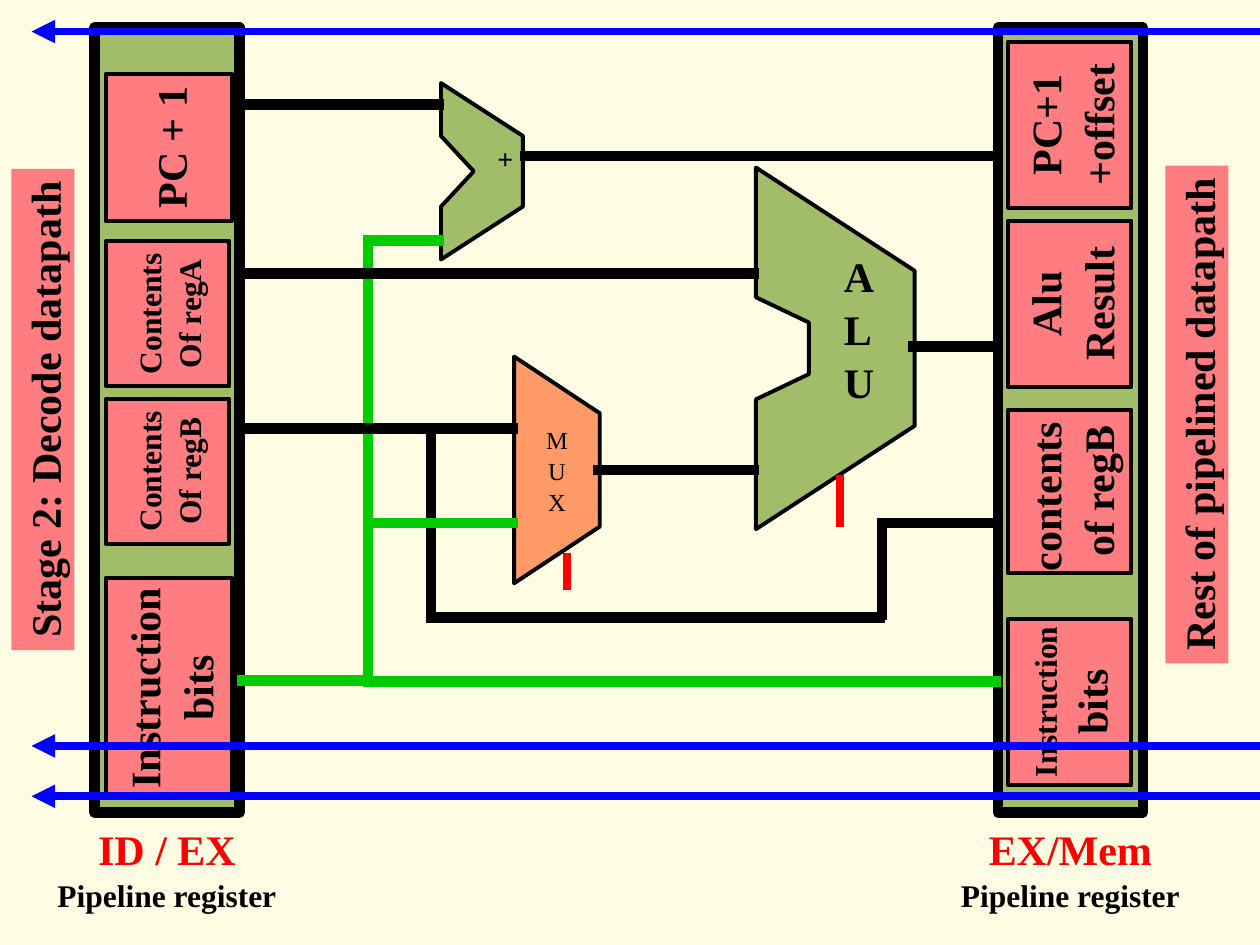
import dataclasses

import lxml.etree
import pptx
import pptx.dml.color
import pptx.enum.shapes
import pptx.enum.text
import pptx.oxml.ns
import pptx.util

PX = 9144  # 100 px to the inch


@dataclasses.dataclass(frozen=True)
class Theme:
    font: str = "Times New Roman"
    paper: str = "FEFDE3"
    green: str = "A1BD69"
    pink: str = "FF7C80"
    orange: str = "FF9966"
    ink: str = "000000"
    red: str = "FF0000"
    data: str = "000000"
    immediate: str = "00CC00"
    feedback: str = "0000FF"
    large: int = 24
    medium: int = 18
    plus: int = 16
    small: int = 14
    thick: float = 6
    arrow: float = 4.5
    outline: float = 2.25
    leading: float = 1.05


theme = Theme()
rgb = pptx.dml.color.RGBColor.from_string
MSO_SHAPE = pptx.enum.shapes.MSO_SHAPE
ANCHOR = pptx.enum.text.MSO_ANCHOR
ALIGN = pptx.enum.text.PP_ALIGN


def paint(shape, fill, width):
    """Give a shape a flat fill and a black outline; width 0 means no outline."""
    shape.shadow.inherit = False
    shape.fill.solid()
    shape.fill.fore_color.rgb = rgb(fill)
    if width:
        shape.line.color.rgb = rgb(theme.ink)
        shape.line.width = pptx.util.Pt(width)
    else:
        shape.line.fill.background()


def write(shape, lines, align=ALIGN.CENTER, anchor=ANCHOR.MIDDLE, wrap=False, bold=True):
    """Fill a shape with lines, each a (text, size, colour) triple."""
    frame = shape.text_frame
    frame.word_wrap = wrap
    frame.vertical_anchor = anchor
    for index, (text, size, colour) in enumerate(lines):
        para = frame.add_paragraph() if index else frame.paragraphs[0]
        para.alignment = align
        para.line_spacing = theme.leading
        span = para.add_run()
        span.text = text
        span.font.name = theme.font
        span.font.size = pptx.util.Pt(size)
        span.font.bold = bold
        span.font.color.rgb = rgb(colour)


deck = pptx.Presentation()
deck.slide_width, deck.slide_height = 1000 * PX, 750 * PX
page = deck.slides.add_slide(deck.slide_layouts[6])
page.background.fill.solid()
page.background.fill.fore_color.rgb = rgb(theme.paper)
shapes = page.shapes

# Pipeline registers with their captions
for left, caption_left, name in [(75, 0, "ID / EX"), (792, 717, "EX/Mem")]:
    register = shapes.add_shape(MSO_SHAPE.RECTANGLE, left * PX, 22 * PX, 115 * PX, 623 * PX)
    paint(register, theme.green, theme.thick)
    caption = shapes.add_textbox(caption_left * PX, 647 * PX, 265 * PX, 80 * PX)
    write(caption, [(name, theme.large, theme.red),
                    ("Pipeline register", theme.medium, theme.ink)],
          anchor=ANCHOR.TOP, wrap=True)

# Register fields and stage labels, all turned to read upwards:
# centre x, centre y, length, thickness, outline, lines with sizes
LARGE, MEDIUM = theme.large, theme.medium
turned_boxes = [
    (134, 117, 117, 100, theme.outline, [("PC + 1", LARGE)]),
    (133, 249, 115, 98, theme.outline, [("Contents", MEDIUM), ("Of regA", MEDIUM)]),
    (133, 374, 115, 98, theme.outline, [("Contents", MEDIUM), ("Of regB", MEDIUM)]),
    (134, 546, 175, 100, theme.outline, [("Instruction", LARGE), ("bits", LARGE)]),
    (849, 99, 132, 98, theme.outline, [("PC+1", LARGE), ("+offset", LARGE)]),
    (849, 241, 132, 98, theme.outline, [("Alu", LARGE), ("Result", LARGE)]),
    (849, 390, 130, 98, theme.outline, [("contents ", LARGE), ("of regB", LARGE)]),
    (849, 557, 132, 98, theme.outline, [("Instruction", MEDIUM), ("bits", LARGE)]),
    (34, 325, 382, 50, 0, [("Stage 2: Decode datapath", LARGE)]),
    (950, 329, 395, 50, 0, [("Rest of pipelined datapath", LARGE)]),
]
for centre_x, centre_y, length, thickness, outline, lines in turned_boxes:
    box = shapes.add_shape(
        MSO_SHAPE.RECTANGLE,
        int((centre_x - length / 2) * PX), int((centre_y - thickness / 2) * PX),
        length * PX, thickness * PX)
    box.rotation = 270
    paint(box, theme.pink, outline)
    write(box, [(text, size, theme.ink) for text, size in lines])

# Adder, ALU and multiplexer
units = {}
for name, fill, points in [
    ("adder", theme.green, [(350, 66), (415, 108), (415, 164), (350, 206),
                            (350, 164), (376, 136), (350, 108)]),
    ("alu", theme.green, [(726, 215), (600, 133), (600, 236), (642, 256),
                          (642, 297), (600, 317), (600, 420), (726, 338)]),
    ("mux", theme.orange, [(408, 463), (476, 418), (476, 328), (408, 283)]),
]:
    outline = shapes.build_freeform(*points[0], scale=PX)
    outline.add_line_segments(points[1:], close=True)
    units[name] = outline.convert_to_shape()
    paint(units[name], fill, theme.outline)

write(units["mux"], [(letter, theme.small, theme.ink) for letter in "MUX"], bold=False)
plus = shapes.add_textbox(375 * PX, 100 * PX, 52 * PX, 50 * PX)
write(plus, [("+", theme.plus, theme.ink)])
alu_name = shapes.add_textbox(660 * PX, 192 * PX, 44 * PX, 130 * PX)
write(alu_name, [(letter, theme.large, theme.ink) for letter in "ALU"],
      align=ALIGN.LEFT, anchor=ANCHOR.TOP)

# Wires: colour, width, arrow at start, then from x, y to x, y
wire_groups = [
    (theme.immediate, theme.thick, False, [
        (292, 541, 790, 541), (292, 191, 292, 415), (292, 191, 348, 191)]),
    (theme.data, theme.thick, False, [
        (192, 83, 348, 83), (417, 124, 790, 124), (192, 217, 598, 217),
        (192, 340, 407, 340), (342, 342, 342, 488), (342, 490, 698, 490),
        (700, 415, 700, 488), (700, 415, 790, 415), (475, 373, 598, 373),
        (725, 275, 790, 275)]),
    (theme.immediate, theme.thick, False, [
        (192, 540, 290, 540), (292, 415, 407, 415), (292, 415, 292, 538)]),
    (theme.red, theme.arrow, False, [(667, 380, 667, 415), (450, 442, 450, 465)]),
    (theme.feedback, theme.arrow, True, [
        (25, 25, 1000, 25), (25, 592, 998, 592), (25, 632, 998, 632)]),
]
qn = pptx.oxml.ns.qn
for colour, width, has_arrow, wires in wire_groups:
    for ends in wires:
        wire = shapes.add_connector(
            pptx.enum.shapes.MSO_CONNECTOR.STRAIGHT, *(end * PX for end in ends))
        wire.line.color.rgb = rgb(colour)
        wire.line.width = pptx.util.Pt(width)
        properties = wire._element.spPr
        stroke = properties.find(qn("a:ln"))
        stroke.set("cap", "sq")
        if has_arrow:
            lxml.etree.SubElement(stroke, qn("a:headEnd"), type="triangle")
        lxml.etree.SubElement(properties, qn("a:effectLst"))

deck.save("out.pptx")
